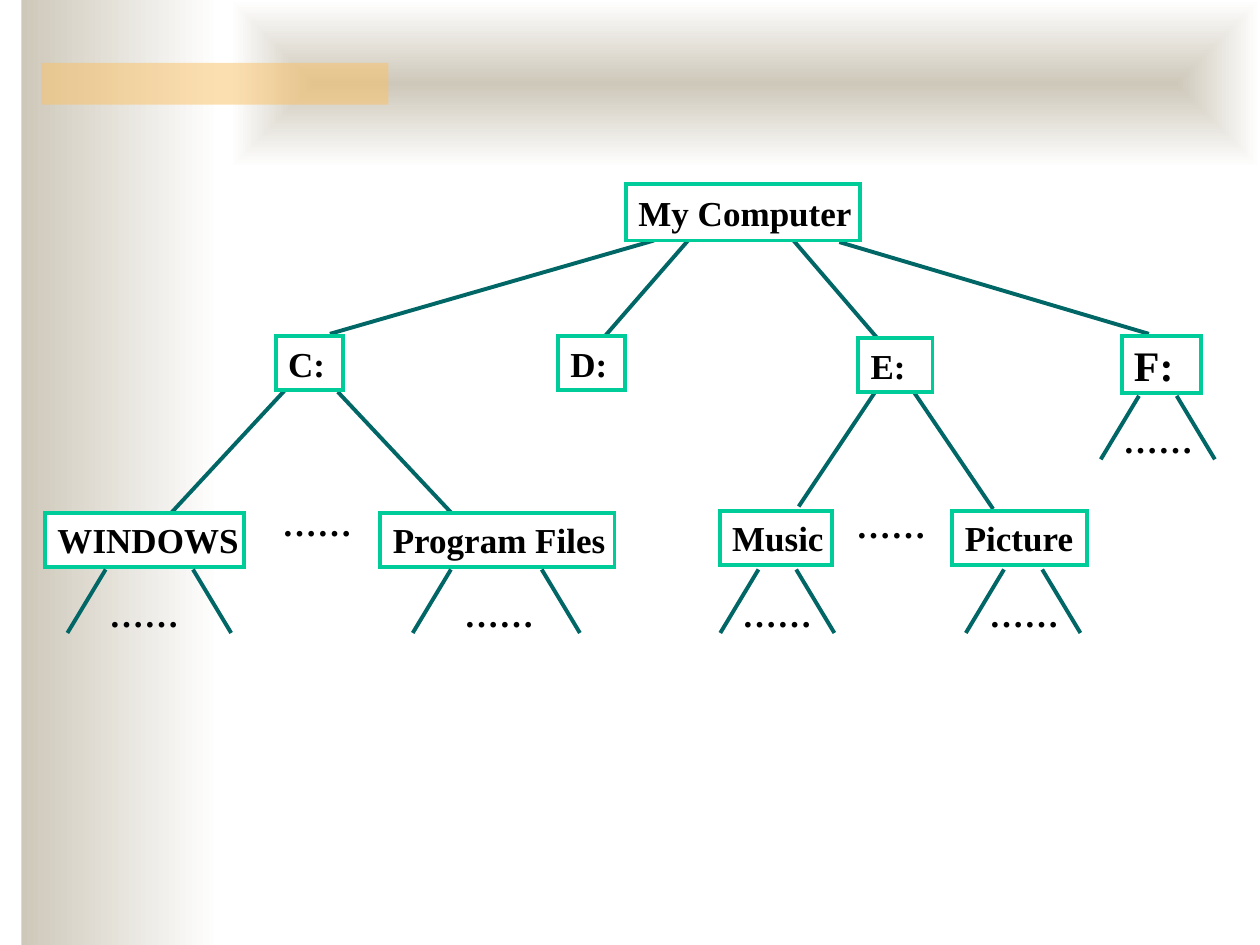
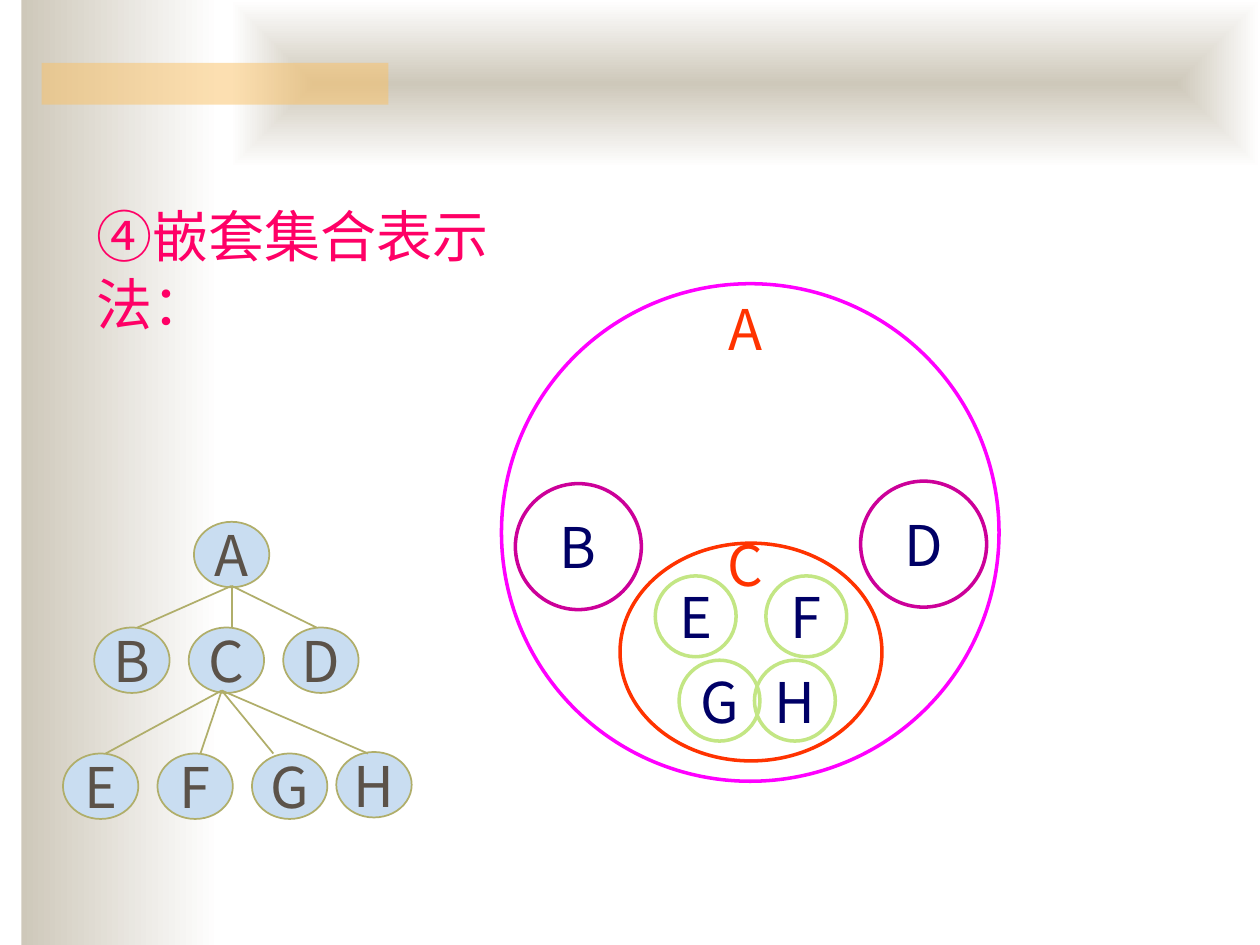
from lxml import etree
from pptx import Presentation
from pptx.dml.color import RGBColor
from pptx.enum.shapes import MSO_CONNECTOR as Link, MSO_SHAPE as Preset
from pptx.enum.text import MSO_ANCHOR as Anchor, PP_ALIGN as Align
from pptx.oxml.ns import qn
from pptx.util import Cm, Pt

SERIF = "Times New Roman"
SANS = "Noto Sans CJK SC"
SAND, WHITE, AMBER = "CEC8BA", "FFFFFF", "FAC164"
TEAL, MINT, BLACK = "006666", "00CC99", "000000"
SKY, OLIVE, BROWN = "C9DDF1", "B0AE6A", "5B5249"
NAVY, SCARLET, LIME = "000066", "FF3300", "C3E684"
MAGENTA, PURPLE, PINK = "FF00FF", "CC0099", "FF0066"


def color(value):
    return RGBColor.from_string(value)


def write(shape, text, size=32, font=SANS, ink=NAVY, bold=False, align=Align.CENTER,
          anchor=Anchor.MIDDLE, wrap=False, inset=(0, 0)):
    frame = shape.text_frame
    frame.word_wrap = wrap
    frame.vertical_anchor = anchor
    frame.margin_left = frame.margin_right = Cm(inset[0])
    frame.margin_top = frame.margin_bottom = Cm(inset[1])
    paragraph = frame.paragraphs[0]
    paragraph.alignment = align
    run = paragraph.add_run()
    run.text = text
    run.font.size = Pt(size)
    run.font.bold = bold
    run.font.name = font
    run.font.color.rgb = color(ink)
    latin = run.font._element.find(qn("a:latin"))
    latin.addnext(etree.Element(qn("a:ea"), typeface=SANS))


class Deck:
    padding = (0.25, 0.13)

    def __init__(self):
        self.presentation = Presentation()
        self.presentation.slide_width = Cm(25.4)
        self.presentation.slide_height = Cm(19.05)
        self.slide = None

    def new_slide(self):
        self.slide = self.presentation.slides.add_slide(self.presentation.slide_layouts[6])
        self.gradient_band(0.43, 0, 4.01, 19.05)
        self.gradient_band(4.65, 0, 20.75, 3.38, centred=True)
        accent = self.shape(Preset.RECTANGLE, 0.84, 1.27, 6.99, 0.84, fill=AMBER)
        tint = accent.fill._xPr.find(qn("a:solidFill"))[0]
        etree.SubElement(tint, qn("a:alpha"), val="50000")

    def shape(self, preset, left, top, width, height, fill=None, outline=None, weight=1):
        shape = self.slide.shapes.add_shape(preset, Cm(left), Cm(top), Cm(width), Cm(height))
        shape.shadow.inherit = False
        if fill:
            shape.fill.solid()
            shape.fill.fore_color.rgb = color(fill)
        else:
            shape.fill.background()
        if outline:
            shape.line.color.rgb = color(outline)
            shape.line.width = Pt(weight)
            stroke = shape._element.spPr.find(qn("a:ln"))
            etree.SubElement(stroke, qn("a:miter"), lim="800000")
        else:
            shape.line.fill.background()
        return shape

    def gradient_band(self, left, top, width, height, centred=False):
        band = self.shape(Preset.RECTANGLE, left, top, width, height)
        band.fill.gradient()
        band.fill.gradient_angle = 0
        for stop, shade in zip(band.fill.gradient_stops, (SAND, WHITE)):
            stop.color.rgb = color(shade)
        if centred:
            gradient = band.fill._xPr.find(qn("a:gradFill"))
            direction = etree.Element(qn("a:path"), {"path": "shape"})
            etree.SubElement(direction, qn("a:fillToRect"),
                             dict.fromkeys("ltrb", "50000"))
            gradient.replace(gradient.find(qn("a:lin")), direction)

    def line(self, start, end, ink, weight):
        points = [Cm(length) for length in (*start, *end)]
        line = self.slide.shapes.add_connector(Link.STRAIGHT, *points)
        line.line.color.rgb = color(ink)
        line.line.width = Pt(weight)
        etree.SubElement(line._element.spPr, qn("a:effectLst"))

    def label(self, text, left, top, width, height, **style):
        box = self.slide.shapes.add_textbox(Cm(left), Cm(top), Cm(width), Cm(height))
        write(box, text, **style)

    def folder(self, name, left, top, width, height=1.09, size=20):
        box = self.shape(Preset.RECTANGLE, left, top, width, height, WHITE, MINT, 2.25)
        write(box, name, size=size, font=SERIF, ink=BLACK, bold=True,
              align=Align.LEFT, inset=self.padding)

    def dots(self, left, top):
        self.label("……", left, top, 2.1, 1.09, size=20, ink=BLACK, bold=True,
                   align=Align.LEFT, inset=self.padding)

    def more_below(self, left_start, right_start, top, dots_left):
        for start, shift in ((left_start, -0.77), (right_start, 0.77)):
            self.line((start, top), (start + shift, top + 1.28), TEAL, 2.25)
        self.dots(dots_left, top + 0.56)

    def node(self, letter, left, top):
        oval = self.shape(Preset.OVAL, left, top, 1.52, 1.32, SKY, OLIVE)
        write(oval, letter, ink=BROWN)

    def branches(self, start, child_xs, child_top):
        for child_x in child_xs:
            self.line(start, (child_x, child_top), OLIVE, 1)

    def set_circle(self, letter, left, top, diameter, outline):
        circle = self.shape(Preset.OVAL, left, top, diameter, diameter, None, outline, 2)
        write(circle, letter)

    def outer_set(self, letter, ring, caption, outline, ink):
        self.shape(Preset.OVAL, *ring, None, outline, 2)
        self.label(letter, *caption, ink=ink, anchor=Anchor.TOP, wrap=True)


def build_folder_tree(deck):
    deck.new_slide()
    paths = [
        ((18.42, 7.9), (20.02, 10.26)), ((17.63, 7.92), (16.1, 10.21)),
        ((6.81, 7.9), (9.12, 10.36)), ((5.74, 7.87), (3.45, 10.34)),
        ((16.92, 4.88), (23.16, 6.73)), ((15.98, 4.83), (17.68, 6.81)),
        ((13.87, 4.85), (12.19, 6.78)), ((13.18, 4.85), (6.65, 6.73)),
    ]
    for parent, child in paths:
        deck.line(parent, child, TEAL, 2.25)

    deck.folder("My Computer", 12.62, 3.71, 4.72, 1.14)
    deck.folder("C:", 5.56, 6.78, 1.35)
    deck.folder("D:", 11.25, 6.78, 1.35)
    deck.folder("E:", 17.3, 6.82, 1.5)
    deck.folder("F:", 22.61, 6.78, 1.6, 1.14, size=24)
    deck.folder("WINDOWS", 0.91, 10.34, 4.01)
    deck.folder("Program Files", 7.67, 10.34, 4.72)
    deck.folder("Picture", 19.2, 10.3, 2.72)
    deck.folder("Music", 14.51, 10.3, 2.26)

    deck.more_below(22.96, 23.72, 7.98, 22.4)
    for left_start, right_start, dots_left in (
            (2.13, 3.89, 1.96), (9.09, 10.92, 9.12),
            (15.29, 16.05, 14.71), (20.24, 21.01, 19.69)):
        deck.more_below(left_start, right_start, 11.48, dots_left)
    deck.dots(17.02, 10.26)
    deck.dots(5.44, 10.21)


def build_nested_sets(deck):
    deck.new_slide()
    deck.node("A", 3.91, 10.52)
    for column, letter in enumerate("BCD"):
        deck.node(letter, 1.9 + 1.905 * column, 12.65)
    for column, letter in enumerate("EFG"):
        deck.node(letter, 1.27 + 1.905 * column, 15.19)
    deck.node("H", 6.78, 15.16)
    deck.branches((4.67, 11.81), (4.67, 2.77, 6.38), 12.65)
    deck.branches((4.47, 13.92), (2.13, 4.04, 5.51, 7.42), 15.19)

    deck.label("④嵌套集合表示法：", 1.7, 3.94, 9.4, 1.63, font="Lato", ink=PINK,
               align=Align.LEFT, anchor=Anchor.TOP, wrap=True, inset=deck.padding)

    deck.outer_set("A", (10.11, 5.72, 10.03, 10.03), (14.4, 5.94, 1.27, 1.35),
                   MAGENTA, SCARLET)
    deck.set_circle("B", 10.39, 9.75, 2.54, PURPLE)
    deck.set_circle("D", 17.35, 9.7, 2.54, PURPLE)
    deck.outer_set("C", (12.5, 10.95, 5.28, 4.39), (13.97, 10.69, 2.11, 1.35),
                   SCARLET, SCARLET)
    for letter, left, top in (("E", 13.21, 11.61), ("G", 13.69, 13.31),
                              ("F", 15.44, 11.61), ("H", 15.21, 13.31)):
        deck.set_circle(letter, left, top, 1.63, LIME)


def main():
    deck = Deck()
    build_folder_tree(deck)
    build_nested_sets(deck)
    deck.presentation.save("out.pptx")


if __name__ == "__main__":
    main()
